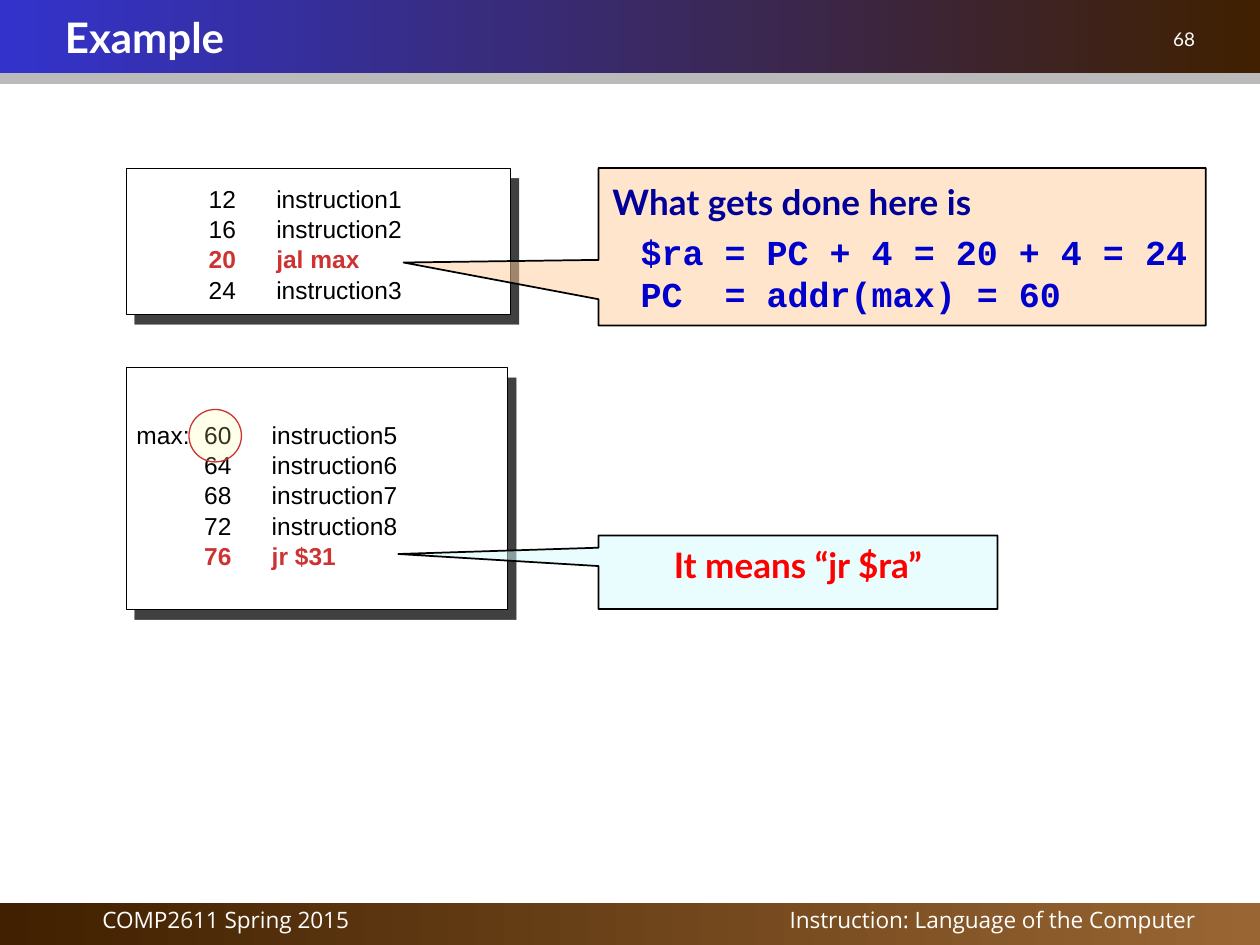
"""Build the jal / jr example slide."""
from lxml.etree import SubElement
from pptx import Presentation
from pptx.dml.color import RGBColor
from pptx.enum.shapes import MSO_SHAPE
from pptx.enum.text import MSO_ANCHOR, PP_ALIGN
from pptx.oxml.ns import qn
from pptx.util import Pt

COLORS = {
    "white": "FFFFFF", "black": "000000", "blue": "3333CC", "brown": "402000",
    "tan": "996633", "gray": "777777", "accent": "CD3333", "peach": "FFCC99",
    "ice": "D4FAFE", "yellow": "FFFF99", "navy": "000099", "code": "0000CC",
    "red": "FF0000",
}
RGB = {name: RGBColor.from_string(value) for name, value in COLORS.items()}


def add_text(tf, text, *, size, font, color, bold=False, align=PP_ALIGN.LEFT,
             spacing=1.0, before=0, indent=0, insets=(0, 0), wrap=True,
             anchor=MSO_ANCHOR.TOP):
    first = not tf.text
    p = tf.paragraphs[0] if first else tf.add_paragraph()
    if first:
        tf.margin_left = tf.margin_right = Pt(insets[0])
        tf.margin_top = tf.margin_bottom = Pt(insets[1])
        tf.word_wrap = wrap
        tf.vertical_anchor = anchor
    else:
        p.space_before = Pt(before)
    if indent:
        p._p.get_or_add_pPr().set("marL", str(Pt(indent)))
    p.alignment = align
    p.line_spacing = spacing
    r = p.add_run()
    r.text = text
    r.font.size = Pt(size)
    r.font.name = font
    r.font.bold = bold
    r.font.color.rgb = RGB[color]


def add_box(kind, box, fill, line=None, width=1, alpha=None, shadow=None):
    sp = s.shapes.add_shape(kind, *map(Pt, box))
    sp.shadow.inherit = False
    if isinstance(fill, tuple):
        sp.fill.gradient()
        sp.fill.gradient_angle = 0
        for stop, name in zip(sp.fill.gradient_stops, fill):
            stop.color.rgb = RGB[name]
    else:
        sp.fill.solid()
        sp.fill.fore_color.rgb = RGB[fill]
    if alpha:
        clr = sp._element.spPr.find(qn("a:solidFill"))[0]
        SubElement(clr, qn("a:alpha"), val=str(alpha * 1000))
    if line:
        sp.line.color.rgb = RGB[line]
        sp.line.width = Pt(width)
    else:
        sp.line.fill.background()
    if shadow:
        name, opacity, dist, angle = shadow
        effects = sp._element.spPr.find(qn("a:effectLst"))
        outer = SubElement(effects, qn("a:outerShdw"), dist=str(Pt(dist)),
                           dir=str(angle * 60000), algn="ctr", rotWithShape="0")
        clr = SubElement(outer, qn("a:srgbClr"), val=COLORS[name])
        SubElement(clr, qn("a:alpha"), val=str(opacity * 1000))
    return sp


prs = Presentation()
prs.slide_width, prs.slide_height = Pt(720), Pt(540)
s = prs.slides.add_slide(prs.slide_layouts[6])

add_box(MSO_SHAPE.RECTANGLE, (0, 516, 720, 24), ("brown", "tan"))
add_box(MSO_SHAPE.RECTANGLE, (0, 0, 720, 42), ("blue", "brown"),
        shadow=("gray", 50, 6, 90))

footer = dict(size=12.9, font="Open Sans", spacing=0.9)
frame_texts = [
    ((18, 516, 222, 24), "COMP2611 Spring 2015", dict(footer, align=PP_ALIGN.CENTER)),
    ((330, 516, 360, 24), "Instruction: Language of the Computer",
     dict(footer, align=PP_ALIGN.RIGHT)),
    ((540, 12, 150, 24), "68", dict(size=10.8, font="Lato", align=PP_ALIGN.RIGHT)),
    ((30, 0, 660, 42), "Example",
     dict(size=24, font="Lato", bold=True, anchor=MSO_ANCHOR.MIDDLE)),
]
for box, text, fmt in frame_texts:
    tf = s.shapes.add_textbox(*map(Pt, box)).text_frame
    add_text(tf, text, color="white", insets=(7.2, 3.6), **fmt)

ROW_STEP = 17.3
listings = [
    ((72, 96, 219.6, 83.5), 105.1, (119.3, 157.9), [
        ("12", "instruction1"), ("16", "instruction2"),
        ("20", "jal max"), ("24", "instruction3")]),
    ((72, 210, 218, 138.2), 239.9, (116.7, 155.3), [
        ("60", "instruction5"), ("64", "instruction6"), ("68", "instruction7"),
        ("72", "instruction8"), ("76", "jr $31")]),
]
callouts = [
    ((342, 96, 347, 90), "peach", (-0.821, 0.1)),
    ((342, 306, 228, 42), "ice", (-1.002, -0.247)),
]
callout_frames = []
for (panel, top, columns, rows), (box, fill, tip) in zip(listings, callouts):
    add_box(MSO_SHAPE.RECTANGLE, panel, "white", "black", 0.25,
            shadow=("black", 75, 7.8, 50))
    cells = [(x, top + i * ROW_STEP, text, row[1].startswith("j"))
             for i, row in enumerate(rows) for x, text in zip(columns, row)]
    if rows[0][0] == "60":
        cells.append((78, top, "max:", False))
    for x, y, text, jump in cells:
        tf = s.shapes.add_textbox(Pt(x), Pt(y), Pt(72), Pt(16.6)).text_frame
        add_text(tf, text, size=14, font="Arial", bold=jump, wrap=False,
                 color="accent" if jump else "black")
    sp = add_box(MSO_SHAPE.RECTANGULAR_CALLOUT, box, fill, "black", alpha=50)
    sp.adjustments[0], sp.adjustments[1] = tip
    callout_frames.append(sp.text_frame)

call_tf, return_tf = callout_frames
add_text(call_tf, "What gets done here is", size=20, font="Lato", bold=True,
         color="navy", indent=8, insets=(0, 7))
for text, before in (("$ra = PC + 4 = 20 + 4 = 24", 4.7), ("PC  = addr(max) = 60", 0)):
    add_text(call_tf, text, size=20, font="Courier New", bold=True,
             color="code", indent=24, before=before)
add_text(return_tf, "It means “jr $ra”", size=20, font="Lato", bold=True,
         color="red", align=PP_ALIGN.CENTER, spacing=0.9, insets=(7.2, 7.2))

add_box(MSO_SHAPE.OVAL, (108, 234, 30, 30), "yellow", "accent", 0.75, alpha=20)

prs.save("out.pptx")
